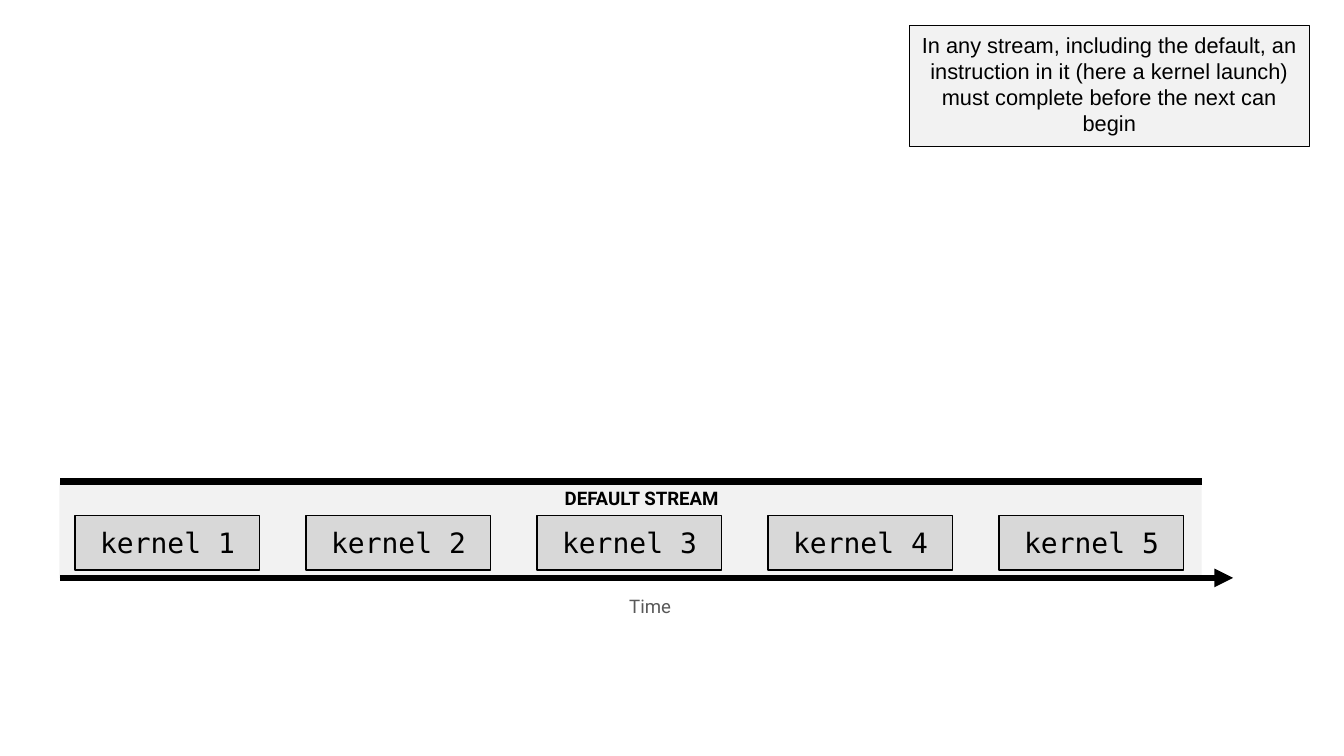
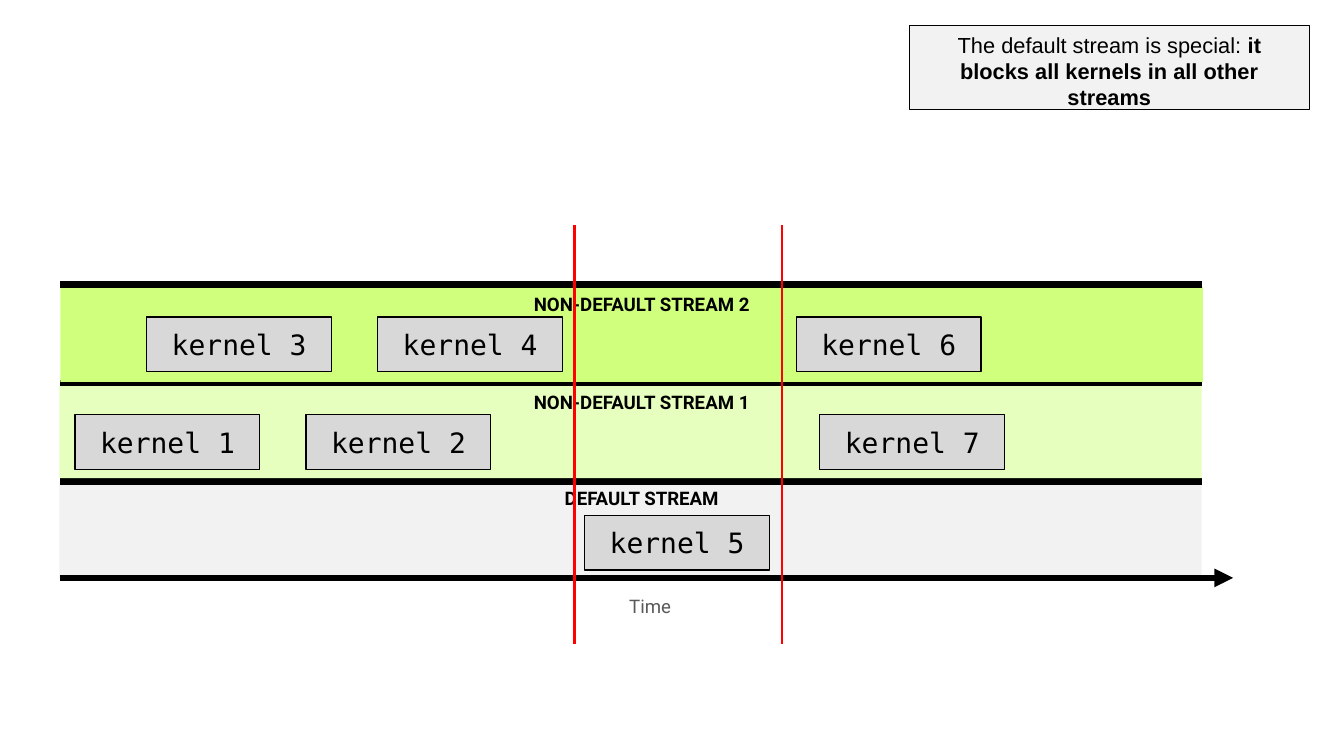
from collections import namedtuple

from lxml.etree import SubElement
from pptx import Presentation
from pptx.dml.color import RGBColor
from pptx.enum.shapes import MSO_CONNECTOR as Connector, MSO_SHAPE as Shape
from pptx.enum.text import MSO_ANCHOR as Anchor, PP_ALIGN as Align
from pptx.oxml.ns import qn
from pptx.util import Inches, Pt

BLACK = RGBColor(0x00, 0x00, 0x00)
GREY_TEXT = RGBColor(0x59, 0x59, 0x59)
LIGHT_GREY = RGBColor(0xF2, 0xF2, 0xF2)
KERNEL_GREY = RGBColor(0xD8, 0xD8, 0xD8)
PALE_GREEN = RGBColor(0xE6, 0xFF, 0xBE)
GREEN = RGBColor(0xCF, 0xFF, 0x7D)
RED = RGBColor(0xFF, 0x00, 0x00)

LABEL = {"name": "Roboto", "size": Pt(12), "bold": True}
AXIS = {"name": "Roboto", "size": Pt(12), "bold": False}
KERNEL = {"name": "DejaVu Sans Mono", "size": Pt(18), "bold": False}
NOTE = {"name": "Arial", "size": Pt(14), "bold": False}
NOTE_BOLD = {**NOTE, "bold": True}

Lane = namedtuple("Lane", "label fill left top rule label_top label_width kernel_top")
DEFAULT = Lane("DEFAULT STREAM", LIGHT_GREY, 0.53, 4.31, 4.3, 4.33, 1.64, 4.6)
STREAM_1 = Lane("NON-DEFAULT STREAM 1", PALE_GREEN, 0.53, 3.42, 3.42, 3.47, 2.26, 3.7)
STREAM_2 = Lane("NON-DEFAULT STREAM 2", GREEN, 0.54, 2.56, 2.54, 2.6, 2.26, 2.83)

LANE_WIDTH, LANE_HEIGHT = 10.2, 0.85
LANE_CENTER = 5.73
RULE_LEFT, RULE_RIGHT = 0.54, 10.73
TIME_Y, TIME_RIGHT = 5.16, 11.01
KERNEL_WIDTH, KERNEL_HEIGHT = 1.65, 0.49
FIRST_KERNEL, KERNEL_STEP = 0.67, 2.0625
STAGGER = 0.64
BARRIER_TOP, BARRIER_BOTTOM = 2.01, 5.75


def kernel_left(slot, offset=0):
    return FIRST_KERNEL + slot * KERNEL_STEP + offset


SLIDES = [
    {
        "note": [("In any stream, including the default, an instruction in it "
                  "(here a kernel launch) must complete before the next can begin", NOTE)],
        "note_height": 1.08,
        "lanes": [(DEFAULT, [(slot + 1, kernel_left(slot)) for slot in range(5)])],
        "barriers": [],
    },
    {
        "note": [("The default stream is special: ", NOTE),
                 ("it blocks all kernels in all other streams", NOTE_BOLD)],
        "note_height": 0.75,
        "lanes": [
            (DEFAULT, [(5, 5.22)]),
            (STREAM_1, [(1, kernel_left(0)), (2, kernel_left(1)), (7, 7.32)]),
            (STREAM_2, [(3, kernel_left(0, STAGGER)), (4, kernel_left(1, STAGGER)), (6, 7.11)]),
        ],
        "barriers": [5.13, 6.98],
    },
]


def write(shape, runs, color=BLACK, anchor=Anchor.MIDDLE, wrap=True, spacing=None):
    frame = shape.text_frame
    frame.word_wrap = wrap
    frame.vertical_anchor = anchor
    paragraph = frame.paragraphs[0]
    paragraph.alignment = Align.CENTER
    paragraph.line_spacing = spacing
    for text, style in runs:
        run = paragraph.add_run()
        run.text = text
        run.font.color.rgb = color
        for attribute, value in style.items():
            setattr(run.font, attribute, value)


def add_box(slide, left, top, width, height, fill, outlined=True):
    box = slide.shapes.add_shape(
        Shape.RECTANGLE, Inches(left), Inches(top), Inches(width), Inches(height))
    box.shadow.inherit = False
    box.fill.solid()
    box.fill.fore_color.rgb = fill
    if outlined:
        box.line.color.rgb = BLACK
        box.line.width = Pt(0.75)
    else:
        box.line.fill.background()
    return box


def add_line(slide, x1, y1, x2, y2, color=BLACK, width=4, arrow=False):
    line = slide.shapes.add_connector(
        Connector.STRAIGHT, Inches(x1), Inches(y1), Inches(x2), Inches(y2))
    line.line.color.rgb = color
    line.line.width = Pt(width)
    if arrow:
        SubElement(line.line._get_or_add_ln(), qn("a:tailEnd"), type="triangle")
    SubElement(line._element.spPr, qn("a:effectLst"))


def add_label(slide, text, style, left, top, width, height, color=BLACK):
    box = slide.shapes.add_textbox(Inches(left), Inches(top), Inches(width), Inches(height))
    write(box, [(text, style)], color, Anchor.BOTTOM, wrap=False, spacing=0.9)


def add_lane(slide, lane):
    add_box(slide, lane.left, lane.top, LANE_WIDTH, LANE_HEIGHT, lane.fill, outlined=False)
    add_line(slide, RULE_LEFT, lane.rule, RULE_RIGHT, lane.rule)
    add_label(slide, lane.label, LABEL, LANE_CENTER - lane.label_width / 2,
              lane.label_top, lane.label_width, 0.27)


def add_time_axis(slide):
    add_line(slide, RULE_LEFT, TIME_Y, TIME_RIGHT, TIME_Y, arrow=True)
    add_label(slide, "Time", AXIS, 5.51, 5.26, 0.59, 0.3, GREY_TEXT)


def build_slide(presentation, content):
    slide = presentation.slides.add_slide(presentation.slide_layouts[6])
    for lane, _ in content["lanes"]:
        add_lane(slide, lane)
    add_time_axis(slide)
    for lane, kernels in content["lanes"]:
        for number, left in kernels:
            box = add_box(slide, left, lane.kernel_top, KERNEL_WIDTH, KERNEL_HEIGHT, KERNEL_GREY)
            write(box, [(f"kernel {number}", KERNEL)])
    for x in content["barriers"]:
        add_line(slide, x, BARRIER_TOP, x, BARRIER_BOTTOM, RED, 1.5)
    note = add_box(slide, 8.12, 0.23, 3.57, content["note_height"], LIGHT_GREY)
    write(note, content["note"], anchor=Anchor.TOP)


def main():
    presentation = Presentation()
    presentation.slide_width = Inches(12)
    presentation.slide_height = Inches(6.75)
    for content in SLIDES:
        build_slide(presentation, content)
    presentation.save("out.pptx")


if __name__ == "__main__":
    main()
